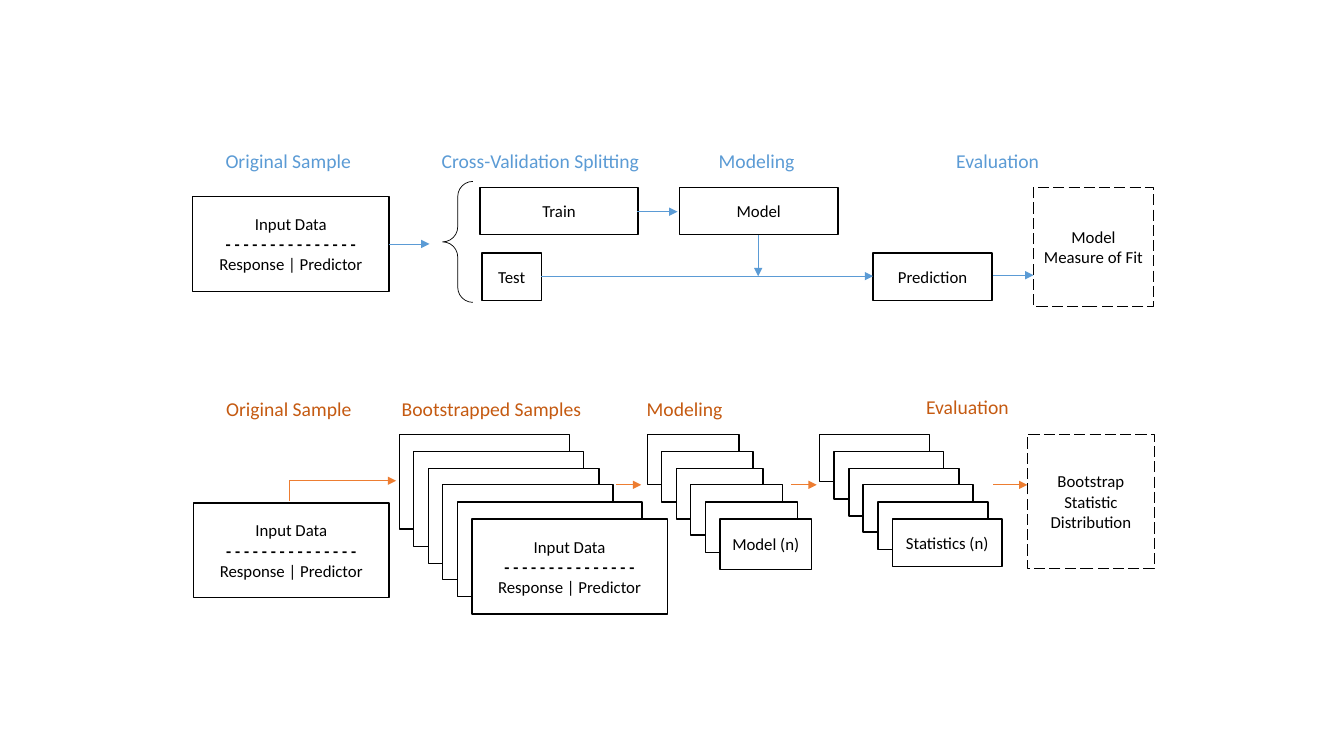
"""Build a slide comparing the cross-validation and bootstrap workflows."""
from pptx import Presentation
from pptx import util as u
from pptx.dml.color import RGBColor
from pptx.enum import dml, shapes, text
from pptx.oxml.ns import qn
from lxml import etree

PX = u.Inches(1) // 100
BLACK, WHITE = "000000", "FFFFFF"
BLUE, ORANGE, RUST = "5B9BD5", "ED7D31", "C55A11"
DASHES = "- - - - - - - - - - - - - - -"
INPUT_DATA = f"Input Data\n{DASHES}\nResponse | Predictor"

presentation = Presentation()
presentation.slide_width = 1333 * PX
presentation.slide_height = 750 * PX
slide = presentation.slides.add_slide(presentation.slide_layouts[6])


def add_box(left, top, width, height, words="", size=12, color=BLACK, outline=BLACK):
    shape = slide.shapes.add_shape(
        shapes.MSO_SHAPE.RECTANGLE, left * PX, top * PX, width * PX, height * PX)
    shape.shadow.inherit = False
    shape.fill.solid()
    shape.fill.fore_color.rgb = RGBColor.from_string(WHITE)
    shape.line.color.rgb = RGBColor.from_string(outline)
    shape.line.width = u.Pt(1)
    frame = shape.text_frame
    frame.vertical_anchor = text.MSO_ANCHOR.MIDDLE
    frame.text = words
    for paragraph in frame.paragraphs:
        paragraph.alignment = text.PP_ALIGN.CENTER
        font_format = {"name": "Calibri", "size": u.Pt(size), "bold": paragraph.text == DASHES}
        for run in paragraph.runs:
            run.font.color.rgb = RGBColor.from_string(color)
            for attribute, value in font_format.items():
                setattr(run.font, attribute, value)
    return shape


def add_arrow(kind, start_x, start_y, end_x, end_y, color):
    arrow = slide.shapes.add_connector(
        kind, start_x * PX, start_y * PX, end_x * PX, end_y * PX)
    arrow.line.color.rgb = RGBColor.from_string(color)
    arrow.line.width = u.Pt(0.5)
    properties = arrow.element.spPr
    etree.SubElement(properties.find(qn("a:ln")), qn("a:tailEnd"), type="triangle")
    etree.SubElement(properties, qn("a:effectLst"))
    return arrow


headings = [
    (193, 136, 186, "Original Sample", BLUE),
    (420, 136, 232, "Cross-Validation Splitting", BLUE),
    (672, 136, 157, "Modeling", BLUE),
    (911, 136, 157, "Evaluation", BLUE),
    (191, 382, 191, "Original Sample", RUST),
    (381, 382, 213, "Bootstrapped Samples", RUST),
    (603, 382, 152, "Modeling", RUST),
    (870, 380, 179, "Evaluation", RUST),
]
for left, top, width, words, color in headings:
    add_box(left, top, width, 47, words, 14, color, WHITE)

boxes = [
    (191, 195, 195, 94, INPUT_DATA),
    (476, 186, 157, 47, "Train"),
    (478, 251, 59, 47, "Test"),
    (674, 186, 157, 47, "Model"),
    (866, 251, 118, 47, "Prediction"),
    (192, 499, 194, 94, INPUT_DATA),
]
for box in boxes:
    add_box(*box)

results = [
    (1025, 186, 119, 118, "Model Measure of Fit"),
    (1019, 431, 126, 133, "Bootstrap Statistic Distribution"),
]
for result in results:
    add_box(*result).line.dash_style = dml.MSO_LINE.LONG_DASH

stacks = [
    (396, 94, [169, 169, 169, 169, 183, 194], INPUT_DATA),
    (642, 50, [91, 91, 86, 91, 91, 91], "Model (n)"),
    (813, 47, [109] * 6, "Statistics (n)"),
]
for left, height, widths, words in stacks:
    for layer, width in enumerate(widths):
        front = layer == len(widths) - 1
        add_box(left + round(layer * 14.4), 431 + round(layer * 16.8),
                width, height, words if front else "")

arrows = [
    (386, 242, 426, 242, BLUE),
    (632, 210, 672, 210, BLUE),
    (752, 233, 752, 274, BLUE),
    (537, 274, 866, 274, BLUE),
    (985, 273, 1025, 273, BLUE),
    (611, 481, 636, 481, ORANGE),
    (785, 481, 810, 481, ORANGE),
    (985, 481, 1019, 481, ORANGE),
]
for arrow in arrows:
    add_arrow(shapes.MSO_CONNECTOR.STRAIGHT, *arrow)

sampling_arrow = add_arrow(shapes.MSO_CONNECTOR.ELBOW, 350, 540, 330, 434, ORANGE)
sampling_properties = sampling_arrow.element.spPr
sampling_properties.find(qn("a:xfrm")).set("rot", "5400000")
sampling_properties.find(qn("a:prstGeom")).set("prst", "bentConnector2")

brace = slide.shapes.add_shape(
    shapes.MSO_SHAPE.LEFT_BRACE, 439 * PX, 180 * PX, 30 * PX, 120 * PX)
brace.shadow.inherit = False
brace.fill.background()
brace.line.color.rgb = RGBColor.from_string(BLACK)
brace.line.width = u.Pt(0.5)
brace.adjustments[0] = 0.5

presentation.save("out.pptx")
